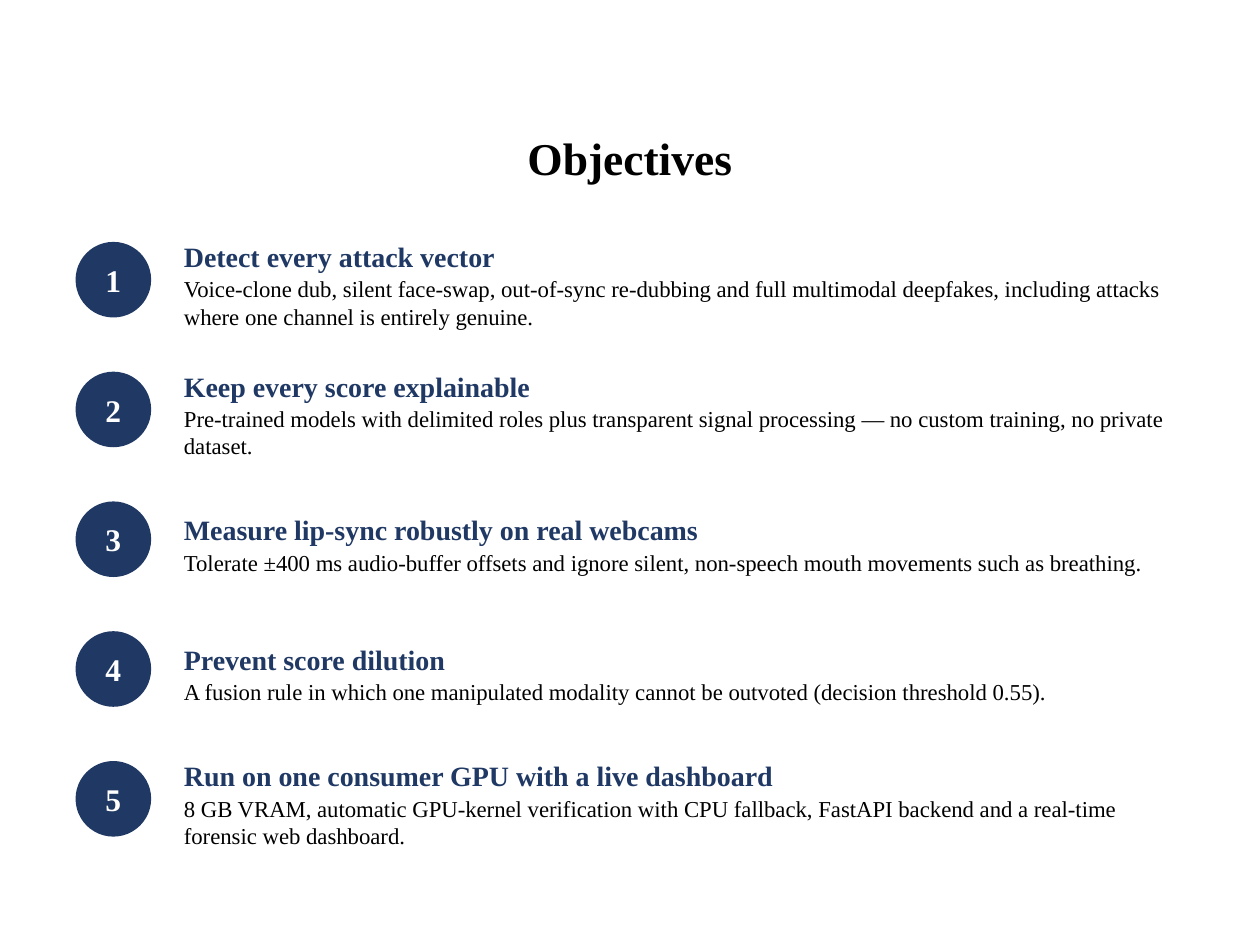
from pptx import Presentation
from pptx.dml.color import RGBColor
from pptx.enum.shapes import MSO_SHAPE as Shape
from pptx.enum.text import MSO_ANCHOR as Anchor, MSO_AUTO_SIZE as AutoSize, PP_ALIGN as Align
from pptx.util import Inches, Pt

WIDTH, HEIGHT = 10, 7.5
COLUMNS, ROWS = 100, 75
NAVY, BLACK, WHITE = "1F3864", "000000", "FFFFFF"

FIRST_ROW, ROW_PITCH = 18, 10.3
BADGE_COLUMN, BADGE_DROP, BADGE_SIZE = 6, 1.2, 6
TEXT_COLUMN, TEXT_WIDTH, TEXT_HEIGHT = 14, 81, 9.2

OBJECTIVES = [
    ("Detect every attack vector",
     "Voice-clone dub, silent face-swap, out-of-sync re-dubbing and full multimodal "
     "deepfakes, including attacks where one channel is entirely genuine."),
    ("Keep every score explainable",
     "Pre-trained models with delimited roles plus transparent signal processing — "
     "no custom training, no private dataset."),
    ("Measure lip-sync robustly on real webcams",
     "Tolerate ±400 ms audio-buffer offsets and ignore silent, non-speech mouth "
     "movements such as breathing."),
    ("Prevent score dilution",
     "A fusion rule in which one manipulated modality cannot be outvoted "
     "(decision threshold 0.55)."),
    ("Run on one consumer GPU with a live dashboard",
     "8 GB VRAM, automatic GPU-kernel verification with CPU fallback, FastAPI backend "
     "and a real-time forensic web dashboard."),
]


def color(hex_code):
    return RGBColor.from_string(hex_code)


def write(paragraph, text, *, size, ink=BLACK, bold=False, align=Align.LEFT,
          after=0, font="Times New Roman"):
    paragraph.alignment = align
    paragraph.space_after = Pt(after)
    run = paragraph.add_run()
    run.text = text
    run.font.name = font
    run.font.size = Pt(size)
    run.font.bold = bold
    run.font.color.rgb = color(ink)


def set_margins(frame, side, end):
    frame.margin_left = frame.margin_right = Inches(side)
    frame.margin_top = frame.margin_bottom = Inches(end)


class ObjectivesDeck:
    """Places elements on a 100 by 75 grid over the current slide."""

    def __init__(self, accent):
        self.accent = accent
        self.deck = Presentation()
        self.deck.slide_width, self.deck.slide_height = Inches(WIDTH), Inches(HEIGHT)
        self.slide = self.deck.slides.add_slide(self.deck.slide_layouts[6])

    def area(self, column, row, columns, rows):
        across, down = WIDTH / COLUMNS, HEIGHT / ROWS
        return [Inches(length) for length in
                (column * across, row * down, columns * across, rows * down)]

    def text_frame(self, *cells):
        frame = self.slide.shapes.add_textbox(*self.area(*cells)).text_frame
        frame.word_wrap = True
        frame.auto_size = AutoSize.SHAPE_TO_FIT_TEXT
        return frame

    def title(self, text):
        frame = self.text_frame(8, 9.8, 84, 5.5)
        write(frame.paragraphs[0], text, size=26, bold=True, align=Align.CENTER)

    def badge(self, number, row):
        circle = self.slide.shapes.add_shape(
            Shape.OVAL, *self.area(BADGE_COLUMN, row, BADGE_SIZE, BADGE_SIZE))
        circle.shadow.inherit = False
        circle.fill.solid()
        circle.fill.fore_color.rgb = color(self.accent)
        circle.line.fill.background()
        frame = circle.text_frame
        frame.vertical_anchor = Anchor.MIDDLE
        set_margins(frame, 0, 0.04)
        write(frame.paragraphs[0], str(number), size=18, ink=WHITE, bold=True,
              align=Align.CENTER)

    def objective(self, heading, detail, row):
        frame = self.text_frame(TEXT_COLUMN, row, TEXT_WIDTH, TEXT_HEIGHT)
        frame.vertical_anchor = Anchor.MIDDLE
        set_margins(frame, 0.06, 0.04)
        write(frame.paragraphs[0], heading, size=16, ink=self.accent, bold=True, after=1)
        write(frame.add_paragraph(), detail, size=13)


def main():
    page = ObjectivesDeck(accent=NAVY)
    page.title("Objectives")
    for index, (heading, detail) in enumerate(OBJECTIVES):
        row = FIRST_ROW + index * ROW_PITCH
        page.badge(index + 1, row + BADGE_DROP)
        page.objective(heading, detail, row)
    page.deck.save("out.pptx")


if __name__ == "__main__":
    main()
